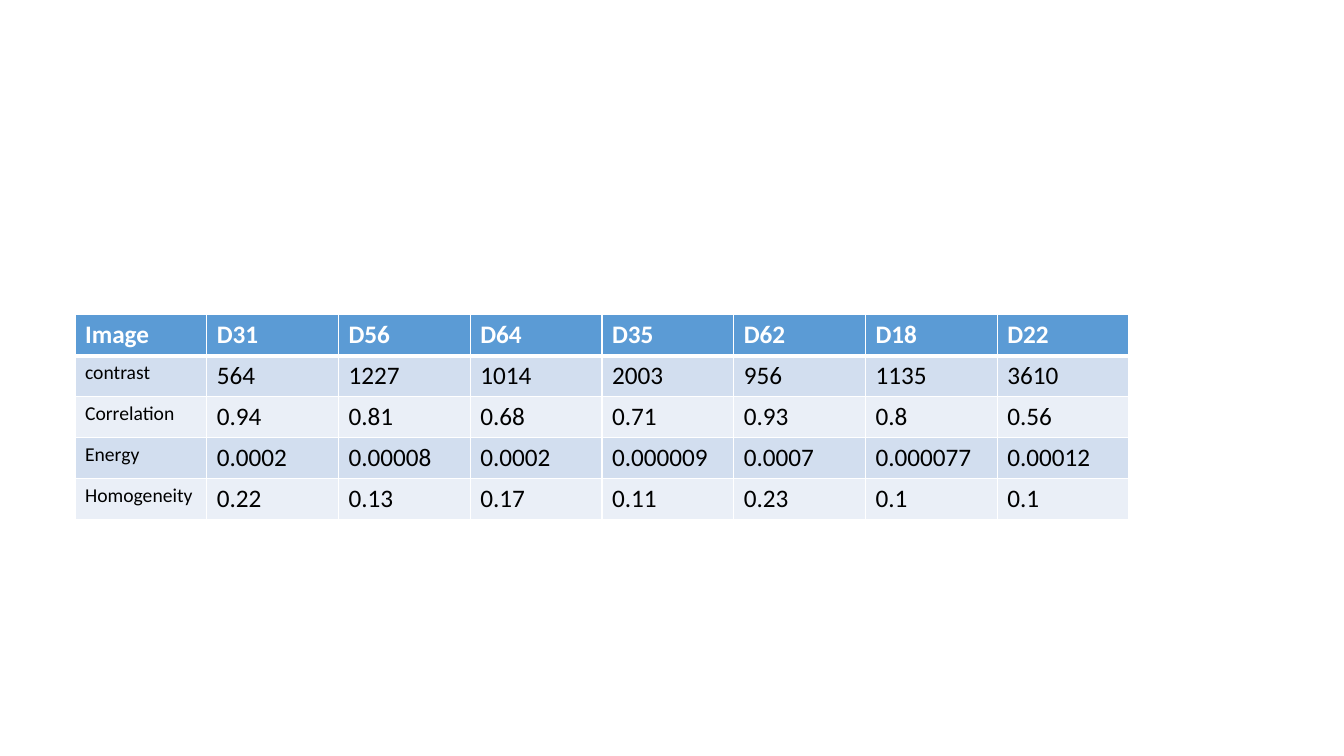
from dataclasses import dataclass
from lxml.etree import SubElement
from pptx import Presentation
from pptx.dml.color import RGBColor
from pptx.oxml.ns import qn
from pptx.util import Cm, Pt


@dataclass(frozen=True)
class Theme:
    font: str = "Calibri"
    head: str = "5B9BD5"
    bands: tuple = ("D2DEEF", "EAEFF7")
    white: str = "FFFFFF"
    black: str = "000000"
    size: int = 18
    small: int = 14
    thin: int = 1
    thick: int = 3


THEME = Theme()
ROWS = [
    ["Image", "D31", "D56", "D64", "D35", "D62", "D18", "D22"],
    ["contrast", "564", "1227", "1014", "2003", "956", "1135", "3610"],
    ["Correlation", "0.94", "0.81", "0.68", "0.71", "0.93", "0.8", "0.56"],
    ["Energy", "0.0002", "0.00008", "0.0002", "0.000009", "0.0007",
     "0.000077", "0.00012"],
    ["Homogeneity", "0.22", "0.13", "0.17", "0.11", "0.23", "0.1", "0.1"],
]


def add_edges(cell, top, bottom):
    props = cell._tc.get_or_add_tcPr()
    edges = {"L": THEME.thin, "R": THEME.thin, "T": top, "B": bottom}
    for side, width in edges.items():
        line = SubElement(props, qn(f"a:ln{side}"), w=str(Pt(width)))
        fill = SubElement(line, qn("a:solidFill"))
        SubElement(fill, qn("a:srgbClr"), val=THEME.white)


def fill_cell(cell, text, row, col):
    head = row == 0
    add_edges(cell, THEME.thick if row == 1 else THEME.thin,
              THEME.thick if head else THEME.thin)
    color = THEME.head if head else THEME.bands[(row - 1) % 2]
    cell.fill.solid()
    cell.fill.fore_color.rgb = RGBColor.from_string(color)
    cell.text = text
    font = cell.text_frame.paragraphs[0].font
    font.name = THEME.font
    font.size = Pt(THEME.small if col == 0 and not head else THEME.size)
    font.bold = head
    font.color.rgb = RGBColor.from_string(THEME.white if head else THEME.black)


def add_grid(slide, left, top, width, height):
    table = slide.shapes.add_table(
        len(ROWS), len(ROWS[0]), left, top, width, height).table
    for row, texts in enumerate(ROWS):
        for col, text in enumerate(texts):
            fill_cell(table.cell(row, col), text, row, col)


deck = Presentation()
deck.slide_width, deck.slide_height = Cm(33.87), Cm(19.05)
slide = deck.slides.add_slide(deck.slide_layouts[6])
add_grid(slide, Cm(1.89), Cm(7.93), Cm(26.56), Cm(5.16))
deck.save("out.pptx")
